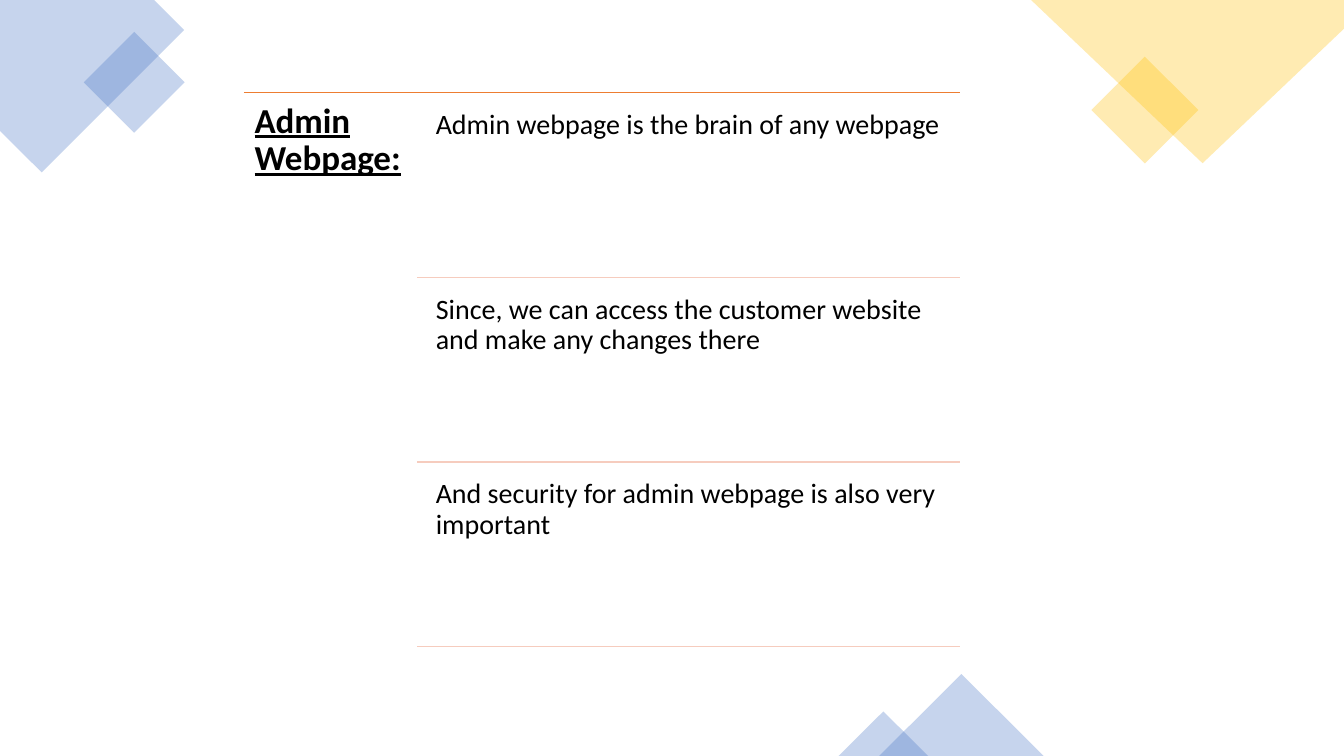
from pptx import Presentation
from pptx.dml.color import RGBColor
from pptx.enum.shapes import MSO_CONNECTOR, MSO_SHAPE
from pptx.enum.text import MSO_ANCHOR, MSO_AUTO_SIZE, PP_ALIGN
from pptx.oxml.ns import qn
from pptx.util import Pt
from lxml.etree import SubElement

BLUE = RGBColor(0x44, 0x72, 0xC4)
GOLD = RGBColor(0xFF, 0xC0, 0x00)
ORANGE = RGBColor(0xED, 0x7D, 0x31)
PEACH = RGBColor(0xF6, 0xCC, 0xBE)
BLACK = RGBColor(0, 0, 0)

TOP, PITCH = 66, 132
LEFT, SPLIT, RIGHT = 174.3, 298, 685.6
ROWS = [
    "Admin webpage is the brain of any webpage",
    "Since, we can access the customer website and make any changes there",
    "And security for admin webpage is also very important",
]


def tint(shape, color):
    shape.shadow.inherit = False
    shape.line.fill.background()
    shape.fill.solid()
    shape.fill.fore_color.rgb = color
    fill = shape.fill._xPr.find(qn("a:solidFill"))
    SubElement(fill[0], qn("a:alpha"), val="30000")


def add_corner(slide, points, color):
    start, *rest = [(Pt(x), Pt(y)) for x, y in points]
    builder = slide.shapes.build_freeform(*start)
    builder.add_line_segments(rest, close=True)
    tint(builder.convert_to_shape(), color)


def add_square(slide, left, top, size, color):
    box = slide.shapes.add_shape(
        MSO_SHAPE.RECTANGLE, Pt(left), Pt(top), Pt(size), Pt(size))
    box.rotation = 315
    tint(box, color)


def add_peak(slide, left, top, width, height):
    peak = slide.shapes.add_shape(
        MSO_SHAPE.ISOSCELES_TRIANGLE, Pt(left), Pt(top), Pt(width), Pt(height))
    tint(peak, BLUE)


def add_rule(slide, left, y, color):
    rule = slide.shapes.add_connector(
        MSO_CONNECTOR.STRAIGHT, Pt(left), Pt(y), Pt(RIGHT), Pt(y))
    rule.line.color.rgb = color
    rule.line.width = Pt(1)
    SubElement(rule._element.spPr, qn("a:effectLst"))


def set_text(shape, text, size, inset, bold=False):
    frame = shape.text_frame
    frame.text = text
    frame.word_wrap = True
    frame.auto_size = MSO_AUTO_SIZE.NONE
    frame.vertical_anchor = MSO_ANCHOR.TOP
    frame.margin_left = frame.margin_right = Pt(inset)
    frame.margin_top = frame.margin_bottom = Pt(inset)
    line = frame.paragraphs[0]
    line.alignment = PP_ALIGN.LEFT
    line.line_spacing = 0.9
    font = line.runs[0].font
    font.name = "Calibri"
    font.size = Pt(size)
    font.bold = font.underline = bold
    font.color.rgb = BLACK


def add_title(slide):
    title = slide.shapes.title
    title.left, title.top = Pt(LEFT), Pt(TOP)
    title.width, title.height = Pt(SPLIT - LEFT), Pt(402)
    set_text(title, "Admin Webpage:", 25, 7.5, bold=True)


def add_row(slide, index, text):
    y = TOP + index * PITCH
    left = SPLIT + 7.3
    box = slide.shapes.add_textbox(
        Pt(left), Pt(y + 6.6), Pt(RIGHT - left), Pt(125.4))
    set_text(box, text, 20, 6)
    add_rule(slide, SPLIT, y + PITCH, PEACH)


def main():
    deck = Presentation()
    deck.slide_width, deck.slide_height = Pt(960), Pt(540)
    slide = deck.slides.add_slide(deck.slide_layouts[5])
    add_corner(slide, [(0, 0), (110, 0), (131.5, 21.5), (29.8, 123.2),
                       (0, 93.5)], BLUE)
    add_square(slide, 70.4, 33.3, 51, BLUE)
    add_square(slide, 790.8, 51.6, 54, GOLD)
    add_corner(slide, [(736.5, 0), (960, 0), (960, 20.5), (859, 116.6)], GOLD)
    add_peak(slide, 628, 481.5, 117.5, 58.5)
    add_peak(slide, 599, 508.2, 64, 31.8)
    add_rule(slide, LEFT, TOP, ORANGE)
    add_title(slide)
    for index, text in enumerate(ROWS):
        add_row(slide, index, text)
    deck.save("out.pptx")


if __name__ == "__main__":
    main()
